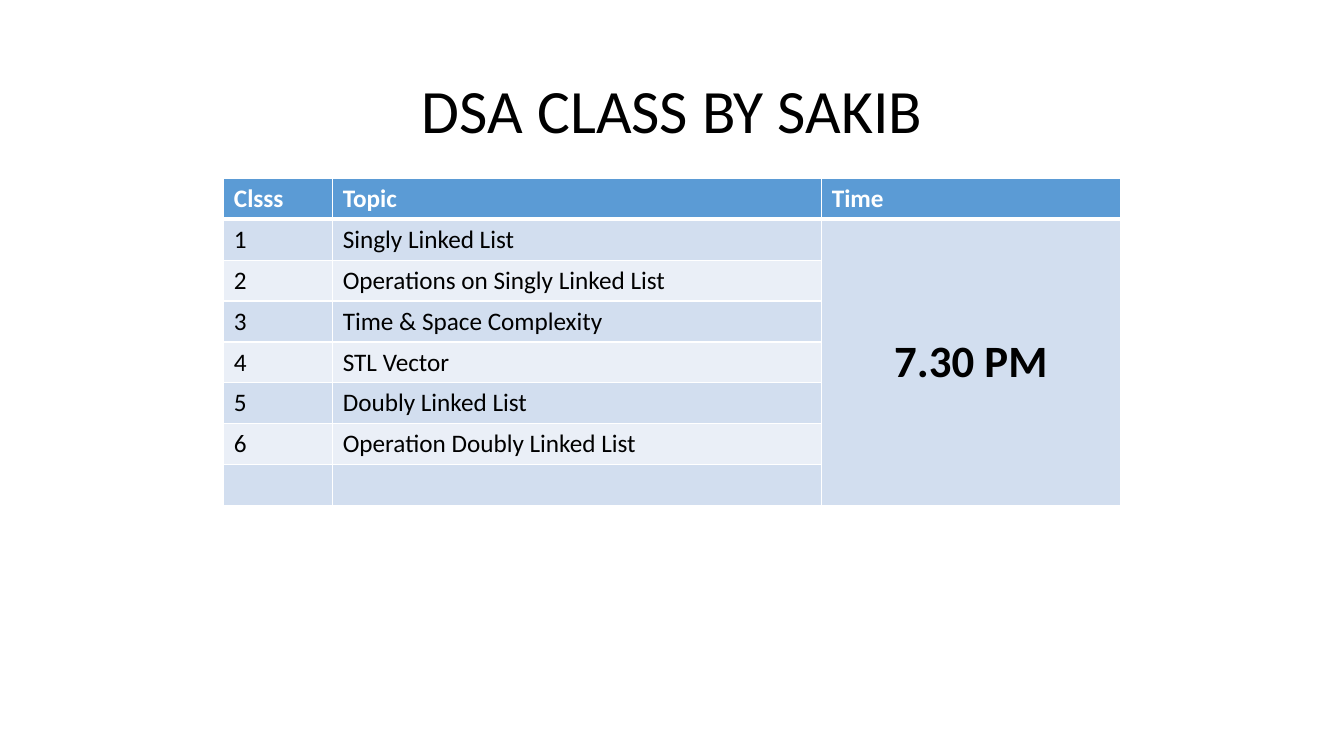
from lxml.etree import SubElement
from pptx import Presentation
from pptx.dml.color import RGBColor
from pptx.enum.text import MSO_ANCHOR, PP_ALIGN
from pptx.oxml.ns import qn
from pptx.util import Inches, Pt

COLORS = {
    "header": "5B9BD5",
    "odd": "D2DEEF",
    "even": "EAEFF7",
    "line": "FFFFFF",
    "text": "000000",
}
FONT = "Calibri"
TITLE_BOX = (0.92, 0.4, 11.5, 1.45)
TABLE_BOX = (2.22, 1.77, 8.89, 3.24)
COLUMN_WIDTHS = (1.08, 4.85, 2.96)
HEADINGS = ("Clsss", "Topic", "Time")
TOPICS = (
    "Singly Linked List",
    "Operations on Singly Linked List",
    "Time & Space Complexity",
    "STL Vector",
    "Doubly Linked List",
    "Operation Doubly Linked List",
)
CLASS_TIME = "7.30 PM"


def format_paragraph(para, size, color, bold=False, align=PP_ALIGN.LEFT):
    para.alignment = align
    para.font.name = FONT
    para.font.size = Pt(size)
    para.font.bold = bold
    para.font.color.rgb = RGBColor.from_string(COLORS[color])


def add_borders(cell, bottom_width):
    properties = cell._tc.get_or_add_tcPr()
    widths = {"a:lnL": 1, "a:lnR": 1, "a:lnT": 1, "a:lnB": bottom_width}
    for tag, width in widths.items():
        line = SubElement(properties, qn(tag), w=str(Pt(width)))
        fill = SubElement(line, qn("a:solidFill"))
        SubElement(fill, qn("a:srgbClr"), val=COLORS["line"])


def style_cell(cell, row):
    """Apply header or banded styling according to the row number."""
    is_header = row == 0
    add_borders(cell, 3 if is_header else 1)
    band = "header" if is_header else "odd" if row % 2 else "even"
    cell.fill.solid()
    cell.fill.fore_color.rgb = RGBColor.from_string(COLORS[band])
    cell.vertical_anchor = MSO_ANCHOR.TOP if is_header else MSO_ANCHOR.MIDDLE
    format_paragraph(cell.text_frame.paragraphs[0], 18,
                     "line" if is_header else "text", bold=is_header)


def add_title(page, box):
    title = page.shapes.title
    title.left, title.top, title.width, title.height = map(Inches, box)
    title.text = "DSA CLASS BY SAKIB"
    title.text_frame.vertical_anchor = MSO_ANCHOR.MIDDLE
    para = title.text_frame.paragraphs[0]
    format_paragraph(para, 44, "text", align=PP_ALIGN.CENTER)
    para.line_spacing = 0.9


def add_schedule(page, box):
    classes = [(str(number), topic, "") for number, topic in enumerate(TOPICS, 1)]
    rows = [HEADINGS, *classes, ("", "", "")]
    table = page.shapes.add_table(len(rows), len(HEADINGS), *map(Inches, box)).table
    for column, width in zip(table.columns, COLUMN_WIDTHS):
        column.width = Inches(width)
    for row, texts in enumerate(rows):
        for column, text in enumerate(texts):
            cell = table.cell(row, column)
            cell.text = text
            style_cell(cell, row)

    time_cell = table.cell(1, 2)
    time_cell.merge(table.cell(len(rows) - 1, 2))
    time_cell.text = CLASS_TIME
    format_paragraph(time_cell.text_frame.paragraphs[0], 32, "text",
                     bold=True, align=PP_ALIGN.CENTER)


def main():
    deck = Presentation()
    deck.slide_width, deck.slide_height = Inches(13.33), Inches(7.5)
    page = deck.slides.add_slide(deck.slide_layouts.get_by_name("Title Only"))
    add_title(page, TITLE_BOX)
    add_schedule(page, TABLE_BOX)
    deck.save("out.pptx")


if __name__ == "__main__":
    main()
